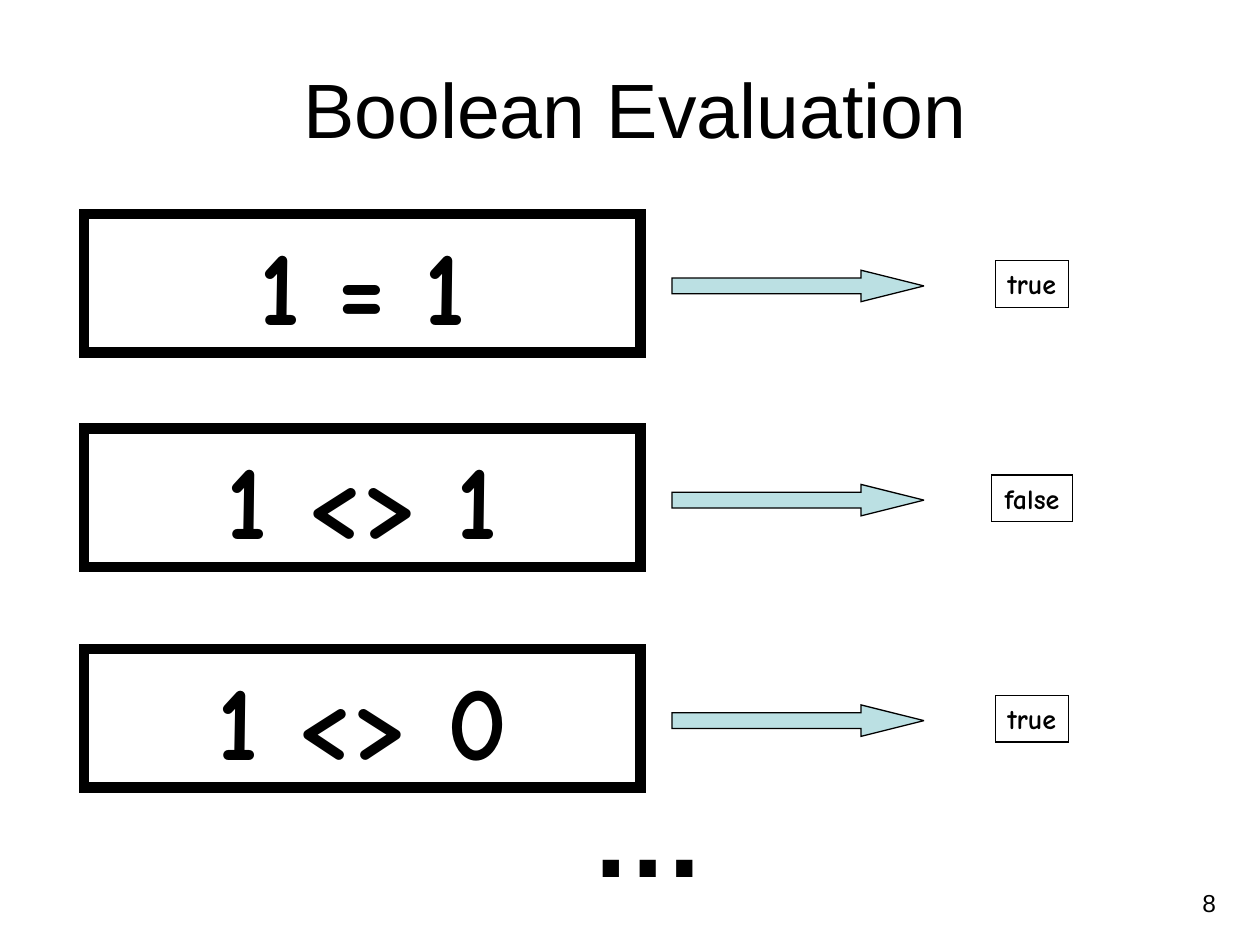
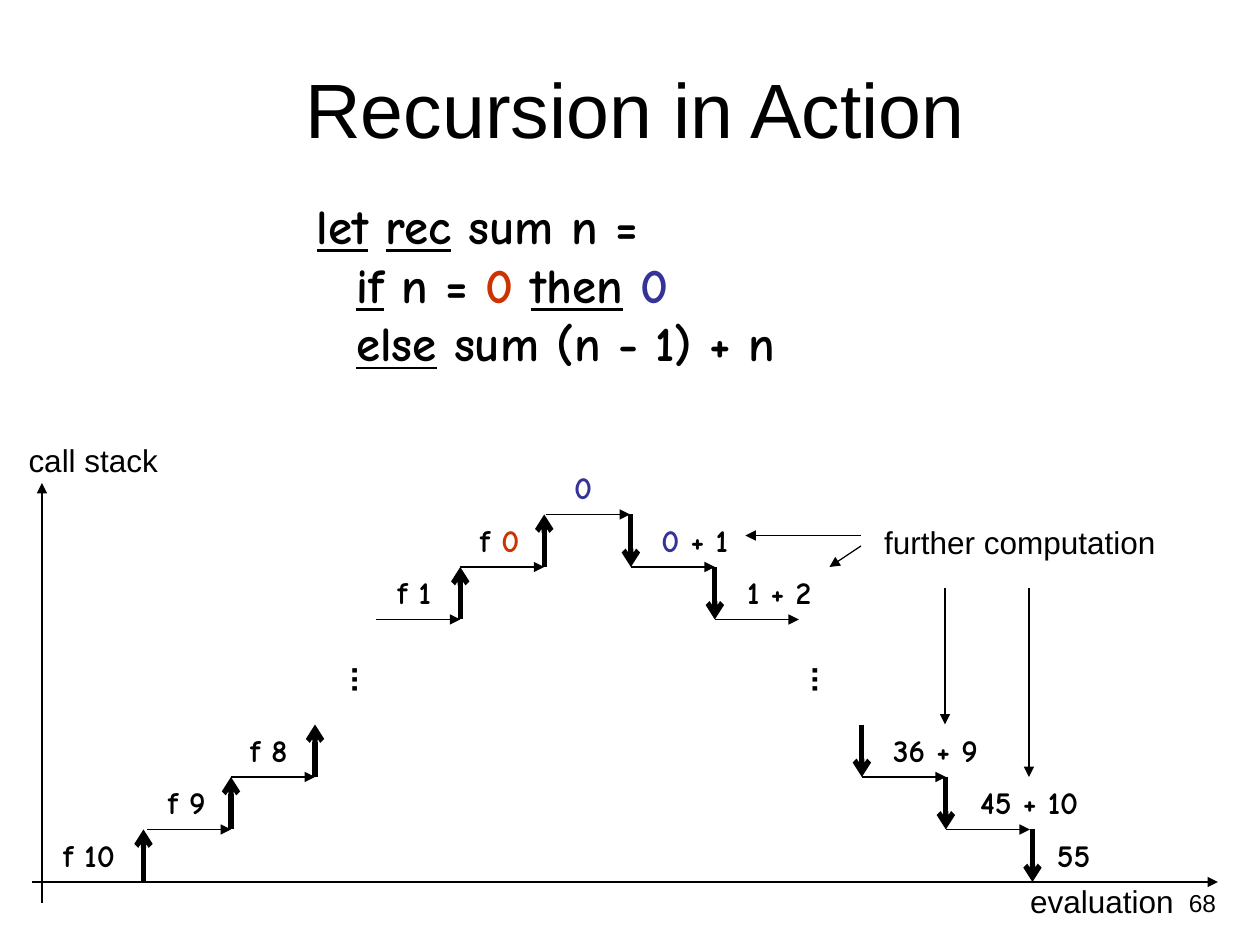
from dataclasses import dataclass
from typing import Any, NamedTuple

from lxml.etree import SubElement
from pptx import Presentation
from pptx.dml.color import RGBColor
from pptx.enum.shapes import MSO_CONNECTOR, MSO_SHAPE
from pptx.enum.text import MSO_ANCHOR, MSO_AUTO_SIZE, PP_ALIGN
from pptx.oxml.ns import qn
from pptx.slide import Slide
from pptx.util import Pt

BLACK, BASE_CASE, RESULT, ARROW_FILL = "000000", "CC3300", "333399", "BBE0E3"
SANS, HAND = "Arial", "Comic Neue"
LEFT, CENTER, RIGHT = PP_ALIGN.LEFT, PP_ALIGN.CENTER, PP_ALIGN.RIGHT
STEP_WIDTH, STEP_HEIGHT = 48, 30
GROUND = 504
LABEL_HEIGHT = 28.8


class Piece(NamedTuple):
    """A stretch of text with its own colour and underline."""

    text: str
    color: str = BLACK
    underline: bool = False


class Box(NamedTuple):
    """A rectangle in points."""

    left: float
    top: float
    width: float
    height: float


@dataclass
class Style:
    """The type style of a text."""

    size: float
    face: str = SANS
    bold: bool = False
    align: PP_ALIGN = LEFT


class Comparison(NamedTuple):
    """A boolean expression with its value."""

    expression: str
    value: str
    value_width: float
    top: float


class Step(NamedTuple):
    """One call or return: its riser, its label and whether a tread joins it."""

    riser_x: float
    level: int
    label: list[Piece]
    label_x: float
    label_width: float
    has_tread: bool = True


TITLE = Style(44, align=CENTER)
PAGE = Style(14, align=RIGHT)
CAPTION = Style(18)
EXPRESSION = Style(60, HAND, True, CENTER)
VALUE = Style(16, HAND, True, CENTER)
CODE = Style(28, HAND, True)
CALL = Style(18, HAND, True, RIGHT)
RETURN = Style(18, HAND, True)
ELLIPSIS = Style(66, SANS, True, RIGHT)
DOTS = Style(18, SANS, True, RIGHT)

COMPARISONS = [
    Comparison("1 = 1", "true", 42, 122.4),
    Comparison("1 <> 1", "false", 46, 244.8),
    Comparison("1 <> 0", "true", 42, 370.8),
]

SUM_CODE = [
    [Piece("let", underline=True), Piece(" "), Piece("rec", underline=True), Piece(" sum n =")],
    [Piece("if", underline=True), Piece(" n = "), Piece("0 ", BASE_CASE),
     Piece("then", underline=True), Piece(" "), Piece("0", RESULT)],
    [Piece("else", underline=True), Piece(" sum (n - 1) + n")],
]

CALLS = [
    Step(82, 1, [Piece("f 10")], 28.3, 44.5, False),
    Step(132, 2, [Piece("f 9")], 87.6, 37),
    Step(180, 3, [Piece("f 8")], 134.4, 37),
    Step(263, 6, [Piece("f 1")], 218.4, 35),
    Step(311, 7, [Piece("f "), Piece("0", BASE_CASE)], 265.8, 38),
]

RETURNS = [
    Step(360.5, 7, [Piece("0", RESULT), Piece(" + 1")], 370.8, 54),
    Step(408.5, 6, [Piece("1 + 2")], 419.8, 52.5),
    Step(492.5, 3, [Piece("36 + 9")], 503.3, 64),
    Step(540.5, 2, [Piece("45 + 10")], 553, 72),
    Step(590, 1, [Piece("55")], 596.9, 35, False),
]


def rgb(value: str) -> RGBColor:
    """Turn a hex string into a colour."""
    return RGBColor.from_string(value)


def assign(target: Any, values: dict[str, Any]) -> None:
    """Set every named attribute on the target."""
    for name, value in values.items():
        setattr(target, name, value)


def write(shape: Any, lines: list[list[Piece]], style: Style, wrap: bool,
          anchor: MSO_ANCHOR = MSO_ANCHOR.TOP) -> None:
    """Fill a shape with one paragraph; an unwrapped shape grows with its text."""
    growth = MSO_AUTO_SIZE.NONE if wrap else MSO_AUTO_SIZE.SHAPE_TO_FIT_TEXT
    assign(shape.text_frame, {"word_wrap": wrap, "vertical_anchor": anchor,
                              "auto_size": growth})
    paragraph = shape.text_frame.paragraphs[0]
    paragraph.alignment = style.align
    for index, line in enumerate(lines):
        if index:
            paragraph.add_line_break()
        for piece in line:
            run = paragraph.add_run()
            run.text = piece.text
            assign(run.font, {"size": Pt(style.size), "name": style.face,
                              "bold": style.bold, "underline": piece.underline})
            run.font.color.rgb = rgb(piece.color)


def add_text(slide: Slide, box: Box, lines: list[list[Piece]], style: Style,
             wrap: bool = False, anchor: MSO_ANCHOR = MSO_ANCHOR.TOP) -> Any:
    """Add a text box and return it."""
    text = slide.shapes.add_textbox(*map(Pt, box))
    write(text, lines, style, wrap, anchor)
    return text


def add_block(slide: Slide, kind: MSO_SHAPE, box: Box, border: float, fill: str = "") -> Any:
    """Add a sharp-cornered outlined shape, filled only when a colour is given."""
    block = slide.shapes.add_shape(kind, *map(Pt, box))
    block.shadow.inherit = False
    if fill:
        block.fill.solid()
        block.fill.fore_color.rgb = rgb(fill)
    else:
        block.fill.background()
    block.line.color.rgb = rgb(BLACK)
    block.line.width = Pt(border)
    SubElement(block.line._get_or_add_ln(), qn("a:miter"), lim="800000")
    return block


def add_arrow(slide: Slide, start: tuple[float, float], end: tuple[float, float],
              weight: float = 0.75, head: str = "triangle") -> None:
    """Draw a straight arrow from start to end."""
    arrow = slide.shapes.add_connector(MSO_CONNECTOR.STRAIGHT, *map(Pt, (*start, *end)))
    arrow.line.color.rgb = rgb(BLACK)
    arrow.line.width = Pt(weight)
    SubElement(arrow.line._get_or_add_ln(), qn("a:tailEnd"), type=head)
    SubElement(arrow._element.spPr, qn("a:effectLst"))


def add_slide(deck: Any, title: str, page: str) -> Slide:
    """Add a blank slide with its title and page number."""
    slide = deck.slides.add_slide(deck.slide_layouts[6])
    add_text(slide, Box(18, 21, 690, 80.6), [[Piece(title)]], TITLE, True, MSO_ANCHOR.MIDDLE)
    add_text(slide, Box(534, GROUND, 168, 25), [[Piece(page)]], PAGE, True)
    return slide


def add_comparison(slide: Slide, item: Comparison) -> None:
    """Draw an expression, its evaluation arrow and its value."""
    expression = add_block(slide, MSO_SHAPE.RECTANGLE, Box(48, item.top, 318, 79.2), 6)
    write(expression, [[Piece(item.expression)]], EXPRESSION, True)
    evaluation = add_block(slide, MSO_SHAPE.RIGHT_ARROW,
                           Box(384, item.top + 32, 144, 18), 0.75, ARROW_FILL)
    evaluation.adjustments[0], evaluation.adjustments[1] = 0.5, 2
    value_box = Box(589.7 - item.value_width / 2, item.top + 26.6, item.value_width, 26.6)
    value = add_block(slide, MSO_SHAPE.RECTANGLE, value_box, 0.75)
    write(value, [[Piece(item.value)]], VALUE, False)


def add_step(slide: Slide, step: Step, rising: bool) -> None:
    """Draw the label, riser and tread of one stack step."""
    top = GROUND - step.level * STEP_HEIGHT
    upper, lower = (step.riser_x, top), (step.riser_x, top + STEP_HEIGHT)
    start, end = (lower, upper) if rising else (upper, lower)
    add_arrow(slide, start, end, 3, "arrow")
    if step.has_tread:
        left = step.riser_x - STEP_WIDTH if rising else step.riser_x
        add_arrow(slide, (left, lower[1]), (left + STEP_WIDTH, lower[1]))
    add_text(slide, Box(step.label_x, top, step.label_width, LABEL_HEIGHT),
             [step.label], CALL if rising else RETURN)


def add_vertical_dots(slide: Slide, left: float) -> None:
    """Mark skipped steps with dots that run downwards."""
    dots = add_text(slide, Box(left, 373.7, 36, 22.3), [[Piece("...")]], DOTS)
    assign(dots.text_frame, {"margin_left": Pt(3.6), "margin_right": Pt(3.6),
                             "margin_top": Pt(7.2), "margin_bottom": Pt(7.2)})
    dots.text_frame._txBody.bodyPr.set("vert", "eaVert")


def build_evaluation(deck: Any) -> None:
    """Build the slide on boolean evaluation."""
    slide = add_slide(deck, "Boolean Evaluation", "8")
    for item in COMPARISONS:
        add_comparison(slide, item)
    add_text(slide, Box(330.5, 432, 80, 86.4), [[Piece("…")]], ELLIPSIS)


def build_recursion(deck: Any) -> None:
    """Build the slide on the call stack of a recursive sum."""
    slide = add_slide(deck, "Recursion in Action", "68")
    code = add_text(slide, Box(138, 108, 390.2, 113.8), SUM_CODE, CODE, True)
    properties = code.text_frame.paragraphs[0]._p.get_or_add_pPr()
    properties.set("marL", str(Pt(58.5)))
    properties.set("indent", str(Pt(-22.5)))

    add_arrow(slide, (18, GROUND), (696, GROUND))
    add_arrow(slide, (24, 516), (24, 276))
    for caption, left, top, width in [
        ("call stack", 9.2, 248.4, 90),
        ("evaluation", 581.6, 500.4, 98),
        ("further computation", 498.2, 295.2, 172),
    ]:
        add_text(slide, Box(left, top, width, LABEL_HEIGHT), [[Piece(caption)]], CAPTION)

    for steps, rising in [(CALLS, True), (RETURNS, False)]:
        for step in steps:
            add_step(slide, step, rising)
    peak = GROUND - 7 * STEP_HEIGHT
    add_arrow(slide, (312, peak), (312 + STEP_WIDTH, peak))
    add_text(slide, Box(321, 264.2, 25, LABEL_HEIGHT), [[Piece("0", RESULT)]], RETURN)
    for left in (187, 450):
        add_vertical_dots(slide, left)

    for start, end in [
        ((492, 306), (426, 306)),
        ((492, 312), (474, 324)),
        ((540, 336), (540, 414)),
        ((588, 336), (588, 444)),
    ]:
        add_arrow(slide, start, end)


def main() -> None:
    """Build and save the two slides."""
    deck = Presentation()
    assign(deck, {"slide_width": Pt(720), "slide_height": Pt(540)})
    build_evaluation(deck)
    build_recursion(deck)
    deck.save("out.pptx")


if __name__ == "__main__":
    main()
